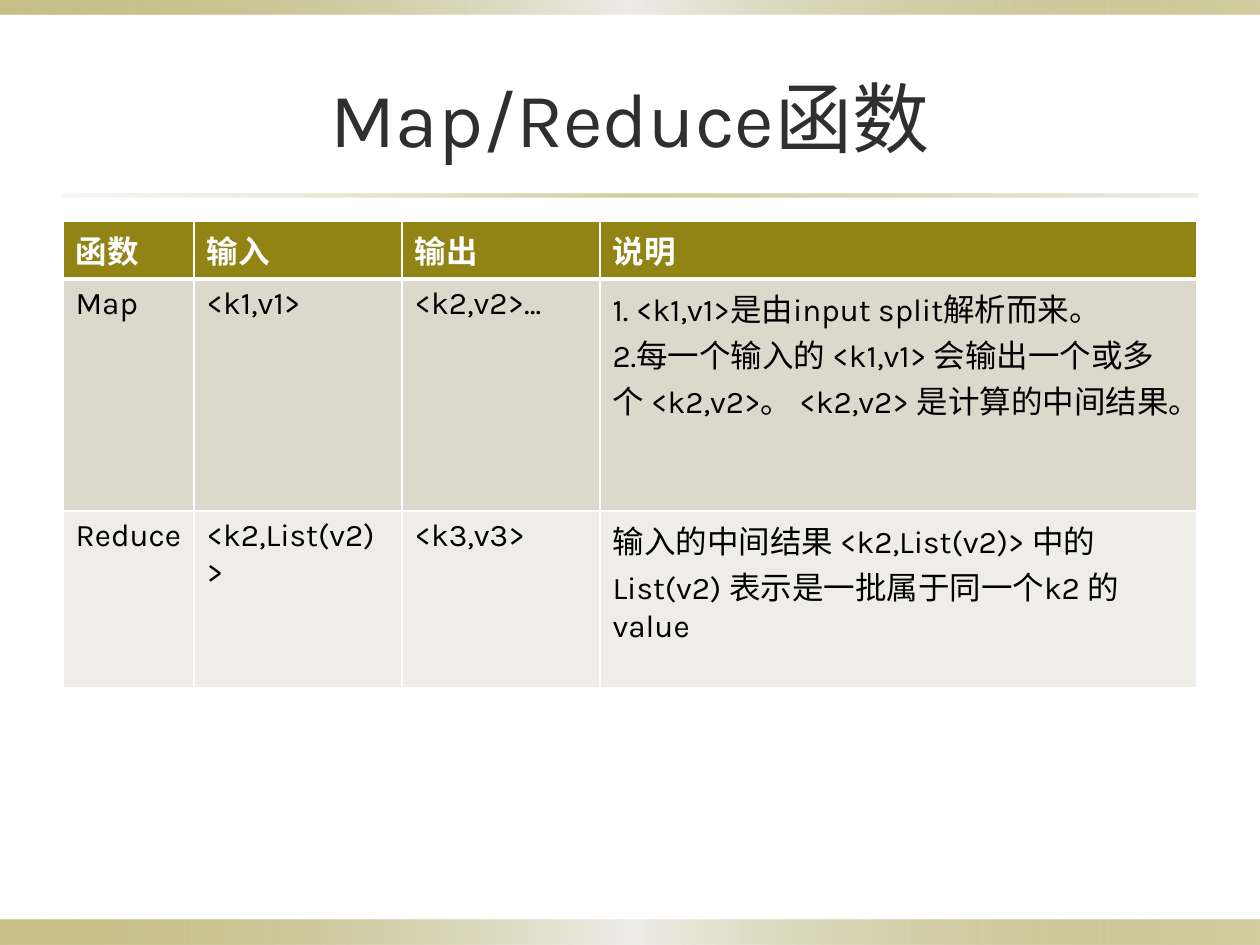
from lxml import etree
from pptx import Presentation
from pptx import util as u
from pptx.dml.color import RGBColor
from pptx.enum import shapes, text
from pptx.oxml.ns import qn

SCALE = 914400 / 126
COLORS = {
    "olive": "918415",
    "sand": "DCD9CC",
    "pale": "EEEDE8",
    "title": "2F2F2F",
    "body": "000000",
    "white": "FFFFFF",
}


def px(*lengths):
    return [u.Emu(round(length * SCALE)) for length in lengths]


def style(paragraph, size, color, bold=False):
    for run in paragraph.runs:
        run.font.name = "Karla"
        run.font.size = u.Pt(size)
        run.font.bold = bold
        run.font.color.rgb = RGBColor.from_string(COLORS[color])


prs = Presentation()
prs.slide_width, prs.slide_height = px(1260, 945)
slide = prs.slides.add_slide(prs.slide_layouts[6])

band_stops = [("olive", 50), ("pale", 100), ("olive", 40)]
rule_stops = [("sand", 20), ("olive", 40), ("sand", 50)]
bars = [
    ((0, 920, 1260, 25), band_stops),
    ((0, 0, 1260, 15), band_stops),
    ((63, 194, 1134, 3), rule_stops),
]
for box, stops in bars:
    bar = slide.shapes.add_shape(shapes.MSO_SHAPE.RECTANGLE, *px(*box))
    bar.shadow.inherit = False
    bar.line.fill.background()
    bar.fill.gradient()
    bar.fill.gradient_angle = 0
    stop_list = bar.fill._fill._gradFill.find(qn("a:gsLst"))
    for old_stop in list(stop_list):
        stop_list.remove(old_stop)
    for index, (color, opacity) in enumerate(stops):
        stop = etree.SubElement(stop_list, qn("a:gs"), pos=str(index * 50000))
        tint = etree.SubElement(stop, qn("a:srgbClr"), val=COLORS[color])
        etree.SubElement(tint, qn("a:alpha"), val=str(opacity * 1000))

heading = slide.shapes.add_textbox(*px(63, 38, 1134, 157)).text_frame
heading.word_wrap = True
heading.vertical_anchor = text.MSO_ANCHOR.MIDDLE
heading.text = "Map/Reduce函数"
heading.paragraphs[0].alignment = text.PP_ALIGN.CENTER
style(heading.paragraphs[0], 44, "title")

rows = [
    ["函数", "输入", "输出", "说明"],
    ["Map", "<k1,v1>", "<k2,v2>…",
     "1. <k1,v1>是由input split解析而来。\n"
     "2.每一个输入的 <k1,v1> 会输出一个或多个 <k2,v2>。 <k2,v2> 是计算的中间结果。"],
    ["Reduce", "<k2,List(v2)>", "<k3,v3>",
     "输入的中间结果 <k2,List(v2)> 中的 List(v2) 表示是一批属于同一个k2 的 value"],
]
row_heights = [58, 232, 177]
column_widths = [131, 208, 198, 597]
row_fills = ["olive", "sand", "pale"]

functions = slide.shapes.add_table(
    len(rows), len(column_widths),
    *px(63, 221, sum(column_widths), sum(row_heights))).table
for column, width in zip(functions.columns, px(*column_widths)):
    column.width = width
for row, height in zip(functions.rows, px(*row_heights)):
    row.height = height

for r, entries in enumerate(rows):
    for c, entry in enumerate(entries):
        cell = functions.cell(r, c)
        cell.text_frame.text = entry
        for paragraph in cell.text_frame.paragraphs:
            style(paragraph, 18, "body" if r else "white", bold=r == 0)
        borders = {"lnL": 1, "lnR": 1, "lnT": 3 if r == 1 else 1, "lnB": 1 if r else 3}
        properties = cell._tc.get_or_add_tcPr()
        for side, points in borders.items():
            border = etree.SubElement(properties, qn(f"a:{side}"), w=str(u.Pt(points)))
            paint = etree.SubElement(border, qn("a:solidFill"))
            etree.SubElement(paint, qn("a:srgbClr"), val=COLORS["white"])
        cell.fill.solid()
        cell.fill.fore_color.rgb = RGBColor.from_string(COLORS[row_fills[r]])

prs.save("out.pptx")
